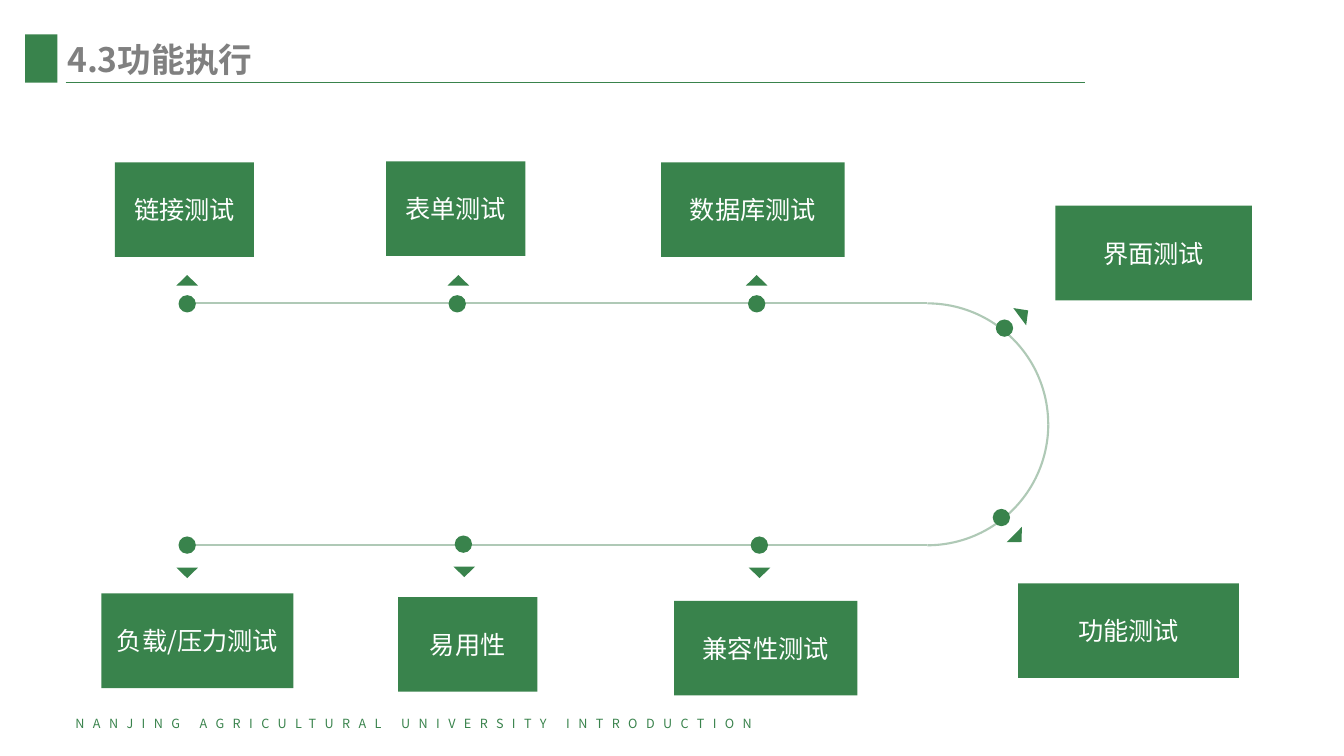
"""Build the slide of eight test types arranged along a U-shaped track."""
from lxml import etree
from pptx import Presentation
from pptx import util as u
from pptx.dml.color import RGBColor
from pptx.enum import shapes, text
from pptx.oxml import ns

GREEN, PALE, GREY, WHITE = "39834C", "AFC9B6", "808080", "FFFFFF"
FONT = "Noto Sans CJK SC"
KIND = shapes.MSO_SHAPE
BOX_HEIGHT, DOT, ARROW_WIDTH, ARROW_HEIGHT = 67.6, 12.4, 15.4, 7.5
TRACK_TOP, TRACK_BOTTOM, TRACK_RIGHT = 216.7, 389.5, 662.4
TURN = TRACK_BOTTOM - TRACK_TOP

deck = Presentation()
deck.slide_width, deck.slide_height = u.Pt(960), u.Pt(540)
page = deck.slides.add_slide(deck.slide_layouts[6])


def add_solid(kind, left, top, width, height, rotation=0):
    shape = page.shapes.add_shape(kind, *map(u.Pt, (left, top, width, height)))
    shape.shadow.inherit = False
    shape.fill.solid()
    shape.fill.fore_color.rgb = RGBColor.from_string(GREEN)
    shape.line.fill.background()
    shape.rotation = rotation
    return shape


def write(box, words, color, align, **font_values):
    box.text_frame.word_wrap = True
    para = box.text_frame.paragraphs[0]
    para.alignment = align
    span = para.add_run()
    span.text = words
    for name, value in {"name": FONT, **font_values}.items():
        setattr(span.font, name, value)
    span.font.color.rgb = RGBColor.from_string(color)
    properties = span.font._element
    etree.SubElement(properties, ns.qn("a:ea")).set("typeface", FONT)
    return properties


add_solid(KIND.RECTANGLE, 18, 24.5, 23, 34.6)
title = page.shapes.add_textbox(*map(u.Pt, (41, 24.5, 276.5, 36)))
write(title, "4.3功能执行", GREY, text.PP_ALIGN.LEFT, size=u.Pt(24), bold=True)
footer = page.shapes.add_textbox(*map(u.Pt, (46.8, 507.6, 867, 18)))
footer_font = write(footer, "NANJING AGRICULTURAL UNIVERSITY INTRODUCTION", GREEN,
                    text.PP_ALIGN.JUSTIFY, size=u.Pt(9))
footer_font.set("spc", "600")

for start, end, y, color, weight in (
    (46.8, 774.7, 59, GREEN, 1),
    (TRACK_RIGHT, 132.5, TRACK_TOP, PALE, 1.5),
    (TRACK_RIGHT, 139, TRACK_BOTTOM, PALE, 1.5),
):
    line = page.shapes.add_connector(
        shapes.MSO_CONNECTOR.STRAIGHT, *map(u.Pt, (start, y, end, y)))
    line.line.color.rgb = RGBColor.from_string(color)
    line.line.width = u.Pt(weight)
    etree.SubElement(line._element.spPr, ns.qn("a:effectLst"))

for start_angle, end_angle in ((162, 0), (0, 54)):
    arc = add_solid(KIND.ARC, TRACK_RIGHT - TURN / 2, TRACK_TOP, TURN, TURN)
    arc.fill.background()
    arc.line.color.rgb = RGBColor.from_string(PALE)
    arc.line.width = u.Pt(1.5)
    arc.adjustments[0], arc.adjustments[1] = start_angle, end_angle

tests = (
    ("链接测试", (82, 115.9, 99.4), (133.7, 217), (133.7, 200.2), 0),
    ("表单测试", (275.8, 115.2, 99.4), (326.6, 217), (327.4, 200.2), 0),
    ("数据库测试", (472.3, 115.9, 131), (540.5, 217), (540.5, 200.2), 0),
    ("界面测试", (753.8, 146.9, 140.4), (717.5, 234.4), (731.4, 224), 53.3),
    ("功能测试", (727.2, 416.6, 157.7), (715.3, 369.7), (727.1, 384.5), 134.8),
    ("兼容性测试", (481.5, 429.1, 131), (542.4, 389.4), (542.5, 409.2), 180),
    ("易用性", (284.4, 426.5, 99.4), (331, 388.7), (331.6, 408.5), 180),
    ("负载/压力测试", (72.4, 423.9, 137.2), (133.7, 389.4), (133.7, 409.2), 180),
)
for label, (left, top, width), (dot_x, dot_y), (tip_x, tip_y), angle in tests:
    box = add_solid(KIND.RECTANGLE, left, top, width, BOX_HEIGHT)
    box.text_frame.vertical_anchor = text.MSO_ANCHOR.MIDDLE
    write(box, label, WHITE, text.PP_ALIGN.CENTER, size=u.Pt(18))
    add_solid(KIND.OVAL, dot_x - DOT / 2, dot_y - DOT / 2, DOT, DOT)
    add_solid(KIND.ISOSCELES_TRIANGLE, tip_x - ARROW_WIDTH / 2,
              tip_y - ARROW_HEIGHT / 2, ARROW_WIDTH, ARROW_HEIGHT, angle)

deck.save("out.pptx")
